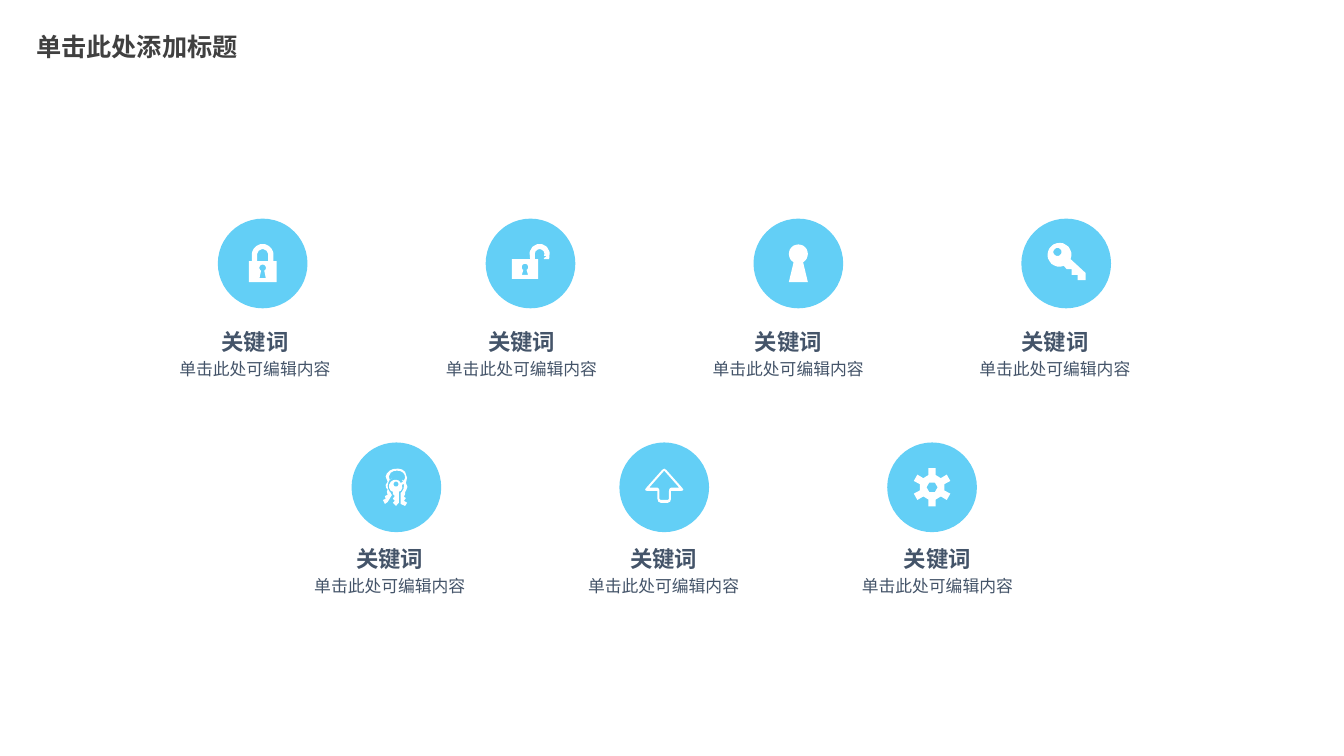
"""Build a slide of seven round icons with keywords."""
from math import cos, radians, sin

from lxml import etree
from pptx import Presentation
from pptx.dml.color import RGBColor
from pptx.enum.shapes import MSO_SHAPE
from pptx.enum.text import MSO_ANCHOR, MSO_AUTO_SIZE, PP_ALIGN
from pptx.oxml.ns import qn
from pptx.util import Cm, Pt

OVAL = MSO_SHAPE.OVAL
TOP = MSO_ANCHOR.TOP
FIT = MSO_AUTO_SIZE.SHAPE_TO_FIT_TEXT
LEFT, CENTER = PP_ALIGN.LEFT, PP_ALIGN.CENTER
COLORS = {"title": "404040", "text": "445469", "circle": "63CFF6", "icon": "FFFFFF"}
CJK_FONT = "Noto Sans CJK SC"
DIAMETER = 2.26
STEP = 6.75


def arc(cx, cy, radius, start, end, steps=20):
    angles = [radians(start + (end - start) * i / steps) for i in range(steps + 1)]
    return [(cx + radius * cos(a), cy + radius * sin(a)) for a in angles]


def keyhole(cx, cy, radius, bottom):
    return arc(cx, cy, radius, 120, 420) + [(cx + radius, bottom), (cx - radius, bottom)]


def mirrored(half):
    return half + [(-x, y) for x, y in reversed(half)]


def rotated(points, angle):
    c, s = cos(radians(angle)), sin(radians(angle))
    return [(x * c - y * s, x * s + y * c) for x, y in points]


LOCK = [
    arc(0, -22, 27, 180, 360)
    + [(27, -6), (35, -6), (35, 47), (-35, 47), (-35, -6), (-27, -6)],
    arc(0, -22, 14, 180, 360) + [(14, -6), (-14, -6)],
    keyhole(0, 11, 8, 37),
]
OPEN_LOCK = [
    [(-47, -11), (-1, -11)] + arc(23, -24, 25, 180, 360)
    + [(47, -11), (34, -11), (34, -14), (39, -17), (39, -19), (34, -19)]
    + arc(23, -24, 12, 360, 180) + [(11, -11), (19, -11), (19, 39), (-47, 39)],
    keyhole(-14, 9, 8, 29),
]
KEYHOLE = [keyhole(0, -24, 24, 47)]
KEY = [
    arc(-17, -22, 30, 69, 381)
    + [(49, 24), (49, 42), (29, 42), (29, 29), (14, 29), (14, 14), (1, 14)],
    arc(-22, -29, 10, 0, 360),
]
KEY_RING = [
    [(24, 9), (28, -1), (24, -11), (27, -24), (22, -39), (14, -45), (4, -47),
     (-8, -46), (-17, -42), (-24, -35), (-27, -27), (-22, -14), (-27, -6),
     (-26, 1), (-22, 6), (-24, 11), (-22, 19), (-29, 22), (-27, 29), (-34, 32),
     (-29, 42), (-22, 37), (-11, 19), (-14, 17), (-14, 14), (-17, 11), (-21, 4),
     (-22, -4), (-20, -13), (-17, -19), (-11, -22), (-17, -19), (-19, -27),
     (-14, -37), (-7, -41), (1, -42), (10, -41), (17, -37), (21, -31), (22, -24),
     (19, -17), (14, -19), (17, -14), (11, -11), (6, -17), (-1, -19), (-8, -18),
     (-14, -14), (-18, -7), (-18, 2), (-14, 9), (-9, 11), (-9, 17), (-4, 22),
     (-9, 29), (-4, 34), (-9, 39), (-1, 47), (6, 39), (6, 11), (11, 9), (15, 2),
     (14, -6), (19, -9), (19, -4), (18, 4), (14, 11), (11, 14), (11, 42),
     (22, 47), (27, 39), (19, 34), (24, 27), (19, 24), (22, 17), (22, 11)],
    arc(-1, -8, 6, 0, 360),
]
ARROW = [
    mirrored([(0, -47), (5, -44), (45, 1), (48, 5), (47, 8), (43, 9), (17, 9),
              (17, 29), (15, 36), (9, 39)]),
    mirrored([(0, -42), (38, 1), (17, 1), (13, 4), (12, 9), (12, 29), (9, 32)]),
]
TOOTH = [(-9, -31), (-9, -48), (9, -48), (9, -31)]
GEAR = [
    [point for i in range(6) for point in rotated(TOOTH, 60 * i)],
    arc(0, 0, 14, 0, 300, 5),
]


def write(tf, text, *, size, color, font="Arial", bold=False, align=LEFT, inset=0.0):
    tf.word_wrap = True
    tf.auto_size = FIT
    tf.vertical_anchor = TOP
    tf.margin_left = tf.margin_right = Cm(inset)
    tf.margin_top = tf.margin_bottom = Cm(inset / 2)
    p = tf.paragraphs[0]
    p.alignment = align
    p.line_spacing = 1.0
    p.space_before = Pt(0)
    r = p.add_run()
    r.text = text
    r.font.name = font
    r.font.size = Pt(size)
    r.font.bold = bold
    r.font.color.rgb = RGBColor.from_string(COLORS[color])
    etree.SubElement(r.font._element, qn("a:ea"), typeface=CJK_FONT)


class Deck:
    def __init__(self):
        self.prs = Presentation()
        self.prs.slide_width, self.prs.slide_height = Cm(33.87), Cm(19.05)
        self.s = self.prs.slides.add_slide(self.prs.slide_layouts[5])

    def title(self, text):
        sp = self.s.shapes.title
        sp.left, sp.top, sp.width, sp.height = Cm(0.66), Cm(0.66), Cm(6.12), Cm(1.02)
        write(sp.text_frame, text, size=18, color="title", font=CJK_FONT,
              bold=True, inset=0.25)

    def paint(self, sp, color):
        sp.shadow.inherit = False
        sp.fill.solid()
        sp.fill.fore_color.rgb = RGBColor.from_string(COLORS[color])
        sp.line.fill.background()

    def icon(self, left, top, contours):
        shapes = self.s.shapes.add_group_shape().shapes
        circle = shapes.add_shape(OVAL, Cm(left), Cm(top), Cm(DIAMETER), Cm(DIAMETER))
        self.paint(circle, "circle")
        builder = shapes.build_freeform(*contours[0][0], scale=Cm(0.01))
        for contour in contours:
            builder.move_to(*contour[0])
            builder.add_line_segments(contour[1:], close=True)
        radius = DIAMETER / 2
        self.paint(builder.convert_to_shape(Cm(left + radius), Cm(top + radius)), "icon")

    def text(self, left, top, width, height, text, **style):
        sp = self.s.shapes.add_textbox(Cm(left), Cm(top), Cm(width), Cm(height))
        write(sp.text_frame, text, color="text", **style)

    def caption(self, left, top):
        self.text(left, top, 3.81, 0.69, "关键词", size=16, bold=True, align=CENTER)
        self.text(left, top + 0.77, 4.34, 0.51, "单击此处可编辑内容", size=12)


def main():
    deck = Deck()
    deck.title("单击此处添加标题")
    rows = [
        (5.49, 5.51, 4.52, 8.26, 6.72, [LOCK, OPEN_LOCK, KEYHOLE, KEY]),
        (8.86, 11.15, 7.92, 13.74, 6.9, [KEY_RING, ARROW, GEAR]),
    ]
    for icon_left, icon_top, text_left, text_top, text_step, icons in rows:
        for i, contours in enumerate(icons):
            deck.icon(icon_left + i * STEP, icon_top, contours)
            deck.caption(text_left + i * text_step, text_top)
    deck.prs.save("out.pptx")


if __name__ == "__main__":
    main()
